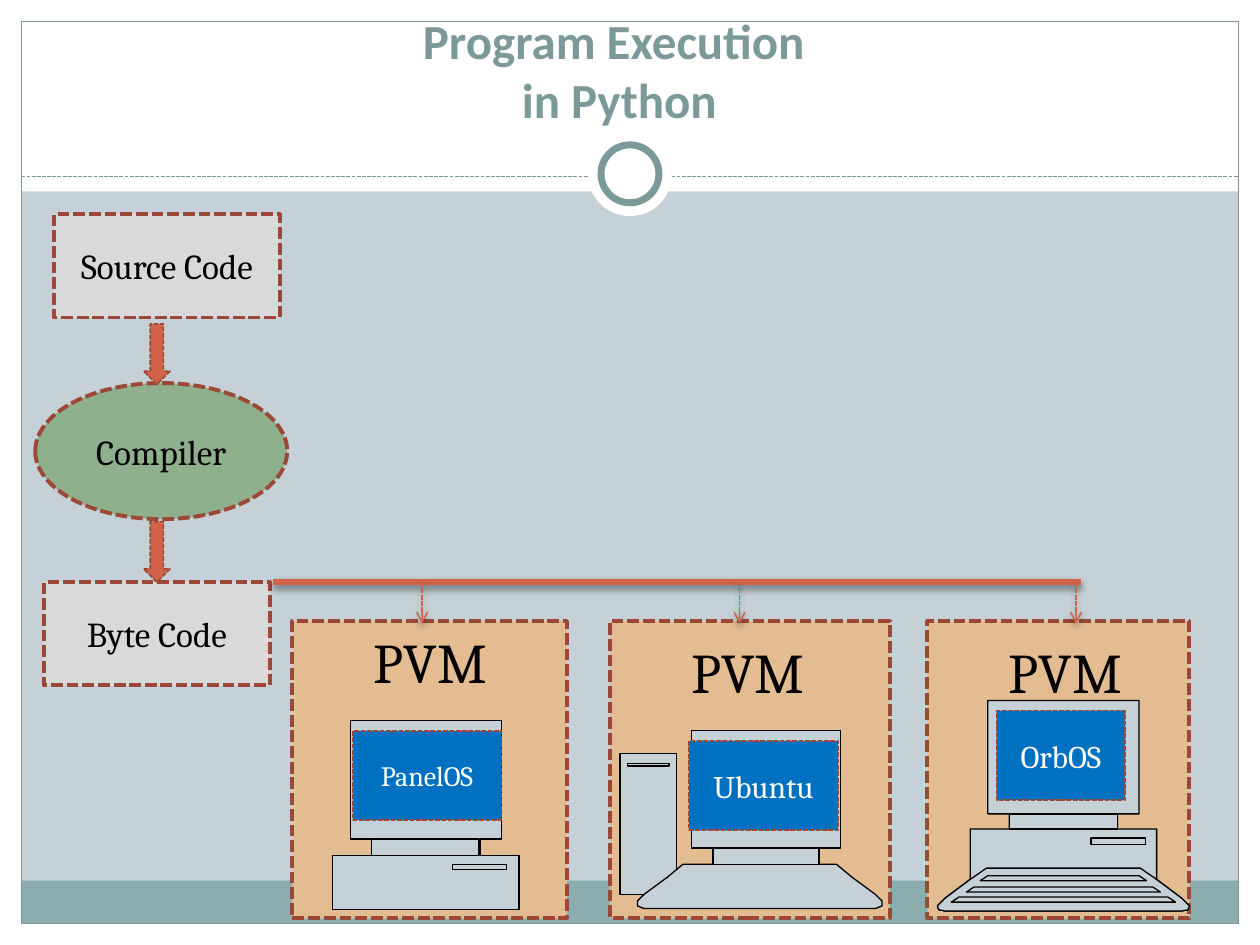
"""Build a slide on how a Python program is compiled and run on several systems."""
from lxml import etree
from pptx import Presentation
from pptx.dml.color import RGBColor
from pptx.enum.dml import MSO_LINE
from pptx.enum.shapes import MSO_CONNECTOR, MSO_SHAPE
from pptx.enum.text import MSO_ANCHOR, PP_ALIGN
from pptx.oxml.ns import qn
from pptx.util import Inches, Pt

RECTANGLE, OVAL, DOWN_ARROW = MSO_SHAPE.RECTANGLE, MSO_SHAPE.OVAL, MSO_SHAPE.DOWN_ARROW
DASH = MSO_LINE.SQUARE_DOT
CENTER, LEFT = PP_ALIGN.CENTER, PP_ALIGN.LEFT
MIDDLE, TOP, BOTTOM = MSO_ANCHOR.MIDDLE, MSO_ANCHOR.TOP, MSO_ANCHOR.BOTTOM

WHITE = RGBColor(0xFF, 0xFF, 0xFF)
BLACK = RGBColor(0, 0, 0)
MIST = RGBColor(0xC5, 0xD1, 0xD7)
TEAL = RGBColor(0x7C, 0x99, 0x9A)
FOOTER = RGBColor(0x8C, 0xAD, 0xAE)
GRAY = RGBColor(0xD9, 0xD9, 0xD9)
GREEN = RGBColor(0x8F, 0xB0, 0x8C)
RUST = RGBColor(0x9B, 0x49, 0x36)
ORANGE = RGBColor(0xD1, 0x63, 0x49)
TAN = RGBColor(0xE3, 0xBC, 0x92)
BLUE = RGBColor(0x00, 0x70, 0xC0)

WIDTH, HEIGHT, MARGIN = 10, 7.5, 0.17
HEADER_HEIGHT, RULE_TOP = 1.52, 1.4
RINGS = [(0.67, None, 0), (0.46, TEAL, 4)]
UNITS_PER_INCH = 100

TITLE = "Program Execution \vin Python"
STAGES = [
    ("Source Code", RECTANGLE, GRAY, (0.43, 1.7, 1.79, 0.82)),
    ("Byte Code", RECTANGLE, GRAY, (0.35, 4.62, 1.79, 0.82)),
    ("Compiler", OVAL, GREEN, (0.28, 3.04, 2, 1.08)),
]
ARROW_TOPS = [2.57, 4.14]

PANEL_LEFT, PANEL_PITCH, PANEL_TOP, PANEL_HEIGHT = 2.32, 2.52, 4.93, 2.36
BUS_TOP, BUS_LEFT, BUS_RIGHT = 4.62, 2.17, 8.58

KEYBOARD_FRONT = [(0.74, 6.98), (0.94, 7.13), (1, 7.19), (0.99, 7.22), (0.94, 7.23)]
KEY_ROWS = [(0.6, 6.95), (0.71, 7.04), (0.83, 7.12)]
MACHINES = [
    dict(
        system="PanelOS", size=16, panel_width=2.18, drop=3.35, label_top=4.93,
        screen=(2.8, 5.8, 1.18, 0.71),
        boxes=[(2.95, 6.66, 0.85, 0.13), (3.59, 6.86, 0.43, 0.04)],
        outlines=[(3.38, [(0.6, 5.72), (0.6, 6.66), (0.43, 6.66), (0.43, 6.79),
                          (0.74, 6.79), (0.74, 7.22)])],
    ),
    dict(
        system="Ubuntu", size=18, panel_width=2.22, drop=5.87, label_top=5.01,
        screen=(5.47, 5.88, 1.18, 0.71),
        boxes=[(4.92, 5.98, 0.45, 1.12), (4.98, 6.06, 0.33, 0.02),
               (5.66, 6.73, 0.84, 0.13)],
        outlines=[(6.08, [(0.59, 5.8), (0.59, 6.73)]),
                  (6.03, [(0.61, 6.86), (0.73, 6.96), (0.92, 7.1), (0.97, 7.15),
                          (0.97, 7.19), (0.92, 7.21)])],
    ),
    dict(
        system="OrbOS", size=18, panel_width=2.08, drop=8.54, label_top=5.01,
        screen=(7.91, 5.64, 1.02, 0.71),
        boxes=[(8.01, 6.46, 0.86, 0.12), (8.66, 6.65, 0.43, 0.05)],
        outlines=[(8.44, [(0.6, 5.56), (0.6, 6.46), (0.43, 6.46), (0.43, 6.58),
                          (0.74, 6.58)] + KEYBOARD_FRONT),
                  (8.44, [(0.61, 6.89)] + KEYBOARD_FRONT)]
                 + [(8.44, [(half, top), (half + 0.06, top + 0.04)])
                    for half, top in KEY_ROWS],
    ),
]


def paint(shape, fill=None, line=None, weight=0.75, dashed=False):
    shape.shadow.inherit = False
    if fill is None:
        shape.fill.background()
    else:
        shape.fill.solid()
        shape.fill.fore_color.rgb = fill
    if line is None:
        shape.line.fill.background()
    else:
        draw_line(shape.line, line, weight, dashed)
    return shape


def draw_line(line, color, weight, dashed):
    line.color.rgb = color
    line.width = Pt(weight)
    if dashed:
        line.dash_style = DASH


def add_box(slide, kind, area, *style):
    return paint(slide.shapes.add_shape(kind, *map(Inches, area)), *style)


def write(shape, text, size, color, font="Cambria", align=CENTER, anchor=MIDDLE,
          bold=False, wrap=True):
    frame = shape.text_frame
    frame.word_wrap = wrap
    frame.vertical_anchor = anchor
    frame.text = text
    paragraph = frame.paragraphs[0]
    paragraph.alignment = align
    paragraph.font.name = font
    paragraph.font.size = Pt(size)
    paragraph.font.bold = bold
    paragraph.font.color.rgb = color


def add_outline(slide, center, profile):
    """Draw a symmetric outline from the (half width, height) points of its right side."""
    sides = [(center + half, top) for half, top in profile]
    sides += [(center - half, top) for half, top in reversed(profile)]
    points = [(x * UNITS_PER_INCH, y * UNITS_PER_INCH) for x, y in sides]
    builder = slide.shapes.build_freeform(*points[0], scale=Inches(1) / UNITS_PER_INCH)
    builder.add_line_segments(points[1:], close=True)
    paint(builder.convert_to_shape(), MIST, BLACK)


def add_line(slide, start, end, color, weight, dashed=False, arrow=False, shade=0):
    connector = slide.shapes.add_connector(
        MSO_CONNECTOR.STRAIGHT, *map(Inches, start + end))
    draw_line(connector.line, color, weight, dashed)
    if arrow:
        etree.SubElement(connector.line._get_or_add_ln(), qn("a:tailEnd"), type="arrow")
    effects = etree.SubElement(connector._element.spPr, qn("a:effectLst"))
    if shade:
        shadow = etree.SubElement(effects, qn("a:outerShdw"), blurRad=str(Pt(4)),
                                  dist=str(Pt(2)), dir="5400000", rotWithShape="0")
        black = etree.SubElement(shadow, qn("a:srgbClr"), val="000000")
        etree.SubElement(black, qn("a:alpha"), val=str(shade * 1000))


def add_frame(slide):
    slide.background.fill.solid()
    slide.background.fill.fore_color.rgb = MIST
    inner_width = WIDTH - 2 * MARGIN
    for area in [(0, HEIGHT - MARGIN, WIDTH, MARGIN), (0, 0, WIDTH, HEADER_HEIGHT),
                 (0, 0, MARGIN, HEIGHT), (WIDTH - MARGIN, 0, MARGIN, HEIGHT)]:
        add_box(slide, RECTANGLE, area, WHITE)
    add_box(slide, RECTANGLE, (MARGIN, 6.99, inner_width, 0.34), FOOTER)
    add_box(slide, RECTANGLE, (MARGIN, MARGIN, inner_width, HEIGHT - 2 * MARGIN), None, TEAL)
    add_line(slide, (MARGIN, RULE_TOP), (WIDTH - MARGIN, RULE_TOP), TEAL, 0.75, dashed=True)
    for size, line, weight in RINGS:
        area = (WIDTH / 2 - size / 2, 1.38 - size / 2, size, size)
        add_box(slide, OVAL, area, WHITE, line, weight)
    title = slide.shapes.add_textbox(*map(Inches, (0.83, 0.19, 8.17, 0.88)))
    write(title, TITLE, 28, TEAL, "Calibri", anchor=BOTTOM, bold=True)


def add_stages(slide):
    for text, kind, fill, area in STAGES:
        write(add_box(slide, kind, area, fill, RUST, 2.25, True), text, 20, BLACK)
    for top in ARROW_TOPS:
        add_box(slide, DOWN_ARROW, (1.14, top, 0.21, 0.48), ORANGE, RUST, 0.9, True)


def add_machines(slide):
    for column, machine in enumerate(MACHINES):
        left = PANEL_LEFT + column * PANEL_PITCH
        add_box(slide, RECTANGLE, (left, PANEL_TOP, machine["panel_width"], PANEL_HEIGHT),
                TAN, RUST, 2.25, True)
        label = slide.shapes.add_textbox(
            *map(Inches, (left + 0.55, machine["label_top"], 1.26, 0.64)))
        write(label, "PVM", 32, BLACK, align=LEFT, anchor=TOP)
    add_line(slide, (BUS_LEFT, BUS_TOP), (BUS_RIGHT, BUS_TOP), ORANGE, 3, shade=45)
    for machine in MACHINES:
        drop = machine["drop"]
        add_line(slide, (drop, BUS_TOP), (drop, 4.95), ORANGE, 0.9, True, True, 35)
        for area in machine["boxes"]:
            if area[3] > 1:
                add_box(slide, RECTANGLE, area, MIST, BLACK)
        for center, profile in machine["outlines"]:
            add_outline(slide, center, profile)
        for area in machine["boxes"]:
            if area[3] <= 1:
                add_box(slide, RECTANGLE, area, MIST, BLACK)
        screen = add_box(slide, RECTANGLE, machine["screen"], BLUE, RUST, 0.9, True)
        write(screen, machine["system"], machine["size"], WHITE)


def main():
    presentation = Presentation()
    presentation.slide_width, presentation.slide_height = Inches(WIDTH), Inches(HEIGHT)
    slide = presentation.slides.add_slide(presentation.slide_layouts[6])
    add_frame(slide)
    add_stages(slide)
    add_machines(slide)
    presentation.save("out.pptx")


if __name__ == "__main__":
    main()
